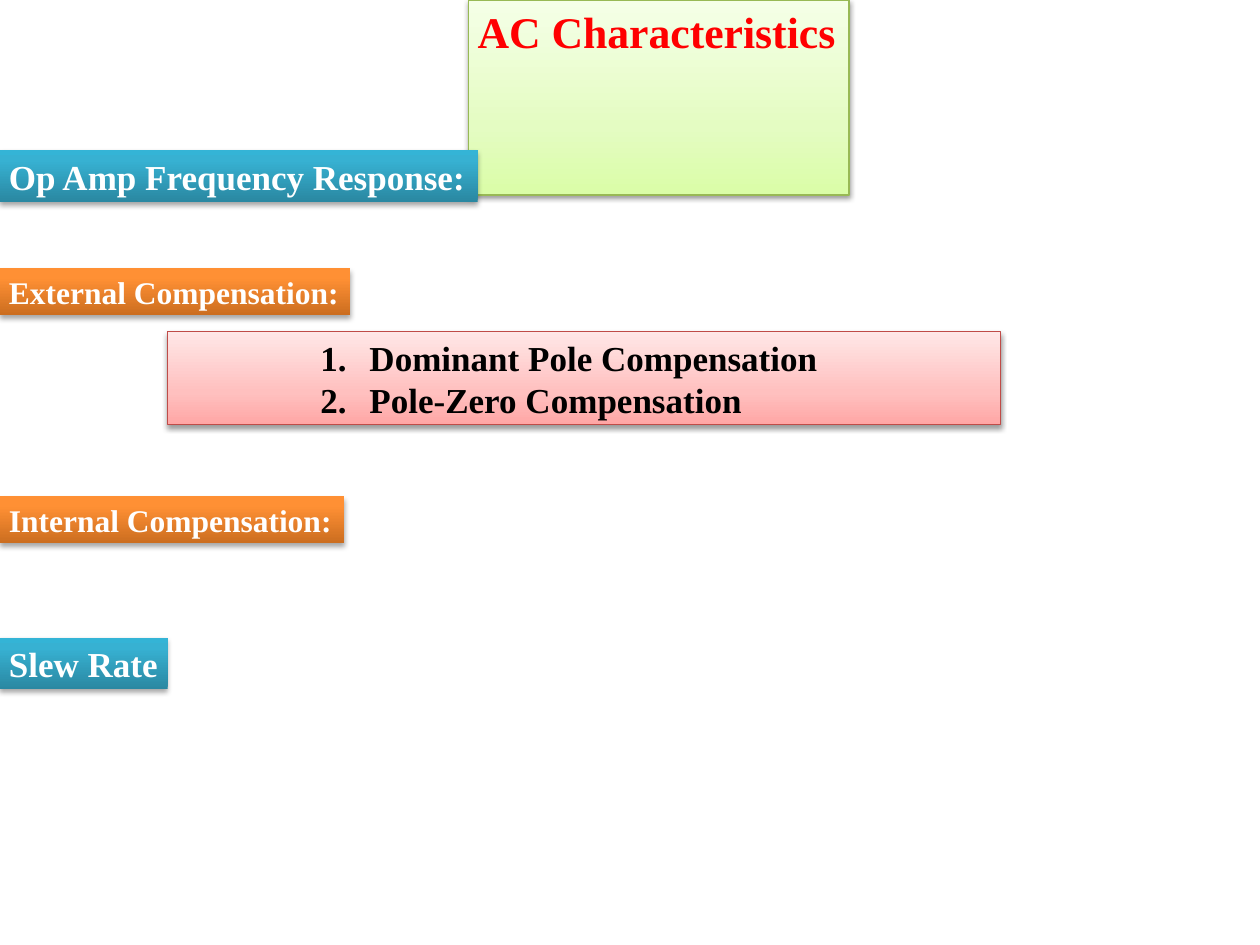
"""Build the AC Characteristics slide."""
from lxml import etree
from pptx import Presentation
from pptx.dml.color import RGBColor
from pptx.enum.shapes import MSO_SHAPE
from pptx.enum.text import MSO_ANCHOR, MSO_AUTO_SIZE, PP_ALIGN
from pptx.oxml.ns import qn
from pptx.util import Pt

RECTANGLE = MSO_SHAPE.RECTANGLE
TOP = MSO_ANCHOR.TOP
GROW = MSO_AUTO_SIZE.SHAPE_TO_FIT_TEXT
LEFT, JUSTIFY = PP_ALIGN.LEFT, PP_ALIGN.JUSTIFY

GREEN = {"stops": [(0, "DAFDA7"), (35, "E4FCC2"), (100, "F5FFE7")], "line": "98B955"}
PINK = {"stops": [(0, "FFA6A5"), (35, "FFC0BF"), (100, "FFE7E7")], "line": "BF4C48"}
ORANGE = {"stops": [(0, "CC6E20"), (80, "FF9034"), (100, "FF9136")], "line": None}
TEAL = {"stops": [(0, "2A88A2"), (80, "37B1D2"), (100, "34B4D6")], "line": None}

HEADINGS = [
    ("External Compensation:", 153.4, 200.2, 26.6, 18, ORANGE),
    ("Internal Compensation:", 283.7, 196.6, 26.6, 18, ORANGE),
    ("Op Amp Frequency Response:", 85.7, 272.9, 29.5, 20, TEAL),
    ("Slew Rate", 364.3, 95.8, 29.5, 20, TEAL),
]
METHODS = ["Dominant Pole Compensation", "Pole-Zero Compensation"]


def color(value):
    """Turn a hex string into a colour."""
    return RGBColor.from_string(value)


def add_element(parent, tag, **attributes):
    """Append a drawing element with the given attributes."""
    texts = {name: str(value) for name, value in attributes.items()}
    return etree.SubElement(parent, qn(tag), texts)


def assign(target, values):
    """Set each attribute from a dict of format values."""
    for name, value in values.items():
        setattr(target, name, value)


class SlideBuilder:
    """Hold the text style and the current slide."""

    font = {"name": "Times New Roman", "bold": True}
    frame = {
        "margin_left": Pt(5.1), "margin_right": Pt(5.1),
        "margin_top": Pt(2.9), "margin_bottom": Pt(2.9),
        "vertical_anchor": TOP, "auto_size": GROW,
    }

    def __init__(self, deck):
        """Start a title-only slide."""
        self.page = deck.slides.add_slide(deck.slide_layouts[5])

    def decorate(self, box, theme):
        """Apply the gradient, outline and soft shadow of a theme."""
        properties = box.element.spPr
        gradient = add_element(properties, "a:gradFill", rotWithShape=1)
        stops = add_element(gradient, "a:gsLst")
        for position, value in theme["stops"]:
            stop = add_element(stops, "a:gs", pos=position * 1000)
            add_element(stop, "a:srgbClr", val=value)
        add_element(gradient, "a:lin", ang=270 * 60000, scaled=0)
        if theme["line"]:
            box.line.color.rgb = color(theme["line"])
            box.line.width = Pt(0.75)
        else:
            box.line.fill.background()
        box.shadow.inherit = False
        shadow = add_element(properties.find(qn("a:effectLst")), "a:outerShdw",
                             blurRad=Pt(3.1), dist=Pt(1.6 if theme["line"] else 1.8),
                             dir=90 * 60000, rotWithShape=0)
        black = add_element(shadow, "a:srgbClr", val="000000")
        add_element(black, "a:alpha", val=38000 if theme["line"] else 35000)

    def fill_text(self, box, lines, size, text_color, wrap=False, numbered=False):
        """Fill a box with formatted paragraphs."""
        frame = box.text_frame
        frame.text = "\n".join(lines)
        assign(frame, {**self.frame, "word_wrap": wrap})
        for para in frame.paragraphs:
            para.alignment = JUSTIFY if numbered else LEFT
            if numbered:
                settings = para._p.get_or_add_pPr()
                settings.set("marL", str(Pt(110.2)))
                settings.set("indent", str(Pt(-28.1)))
                add_element(settings, "a:buFont", typeface="+mj-lt")
                add_element(settings, "a:buAutoNum", type="arabicPeriod")
            for span in para.runs:
                assign(span.font, {**self.font, "size": Pt(size)})
                span.font.color.rgb = color(text_color)

    def title(self, text, left, top, width, height):
        """Place and format the title placeholder."""
        box = self.page.shapes.title
        assign(box, {"left": Pt(left), "top": Pt(top), "width": Pt(width), "height": Pt(height)})
        self.decorate(box, GREEN)
        self.fill_text(box, [text], 25, "FF0000")

    def panel(self, left, top, width, height, theme):
        """Add a shaded rectangle."""
        box = self.page.shapes.add_shape(RECTANGLE, Pt(left), Pt(top), Pt(width), Pt(height))
        self.decorate(box, theme)
        return box

    def heading(self, text, top, width, height, size, theme):
        """Add a heading at the left edge of the slide."""
        self.fill_text(self.panel(0, top, width, height, theme), [text], size, "FFFFFF")

    def numbered_list(self, lines, left, top, width, height):
        """Add a numbered list in a pink panel."""
        box = self.panel(left, top, width, height, PINK)
        self.fill_text(box, lines, 20, "000000", wrap=True, numbered=True)


def main():
    """Build and save the deck."""
    deck = Presentation()
    assign(deck, {"slide_width": Pt(720), "slide_height": Pt(540)})
    builder = SlideBuilder(deck)
    builder.title("AC Characteristics", 267.8, 0, 217.4, 35.3)
    builder.numbered_list(METHODS, 95.8, 189.4, 475.9, 53.3)
    for heading in HEADINGS:
        builder.heading(*heading)
    deck.save("out.pptx")


if __name__ == "__main__":
    main()
